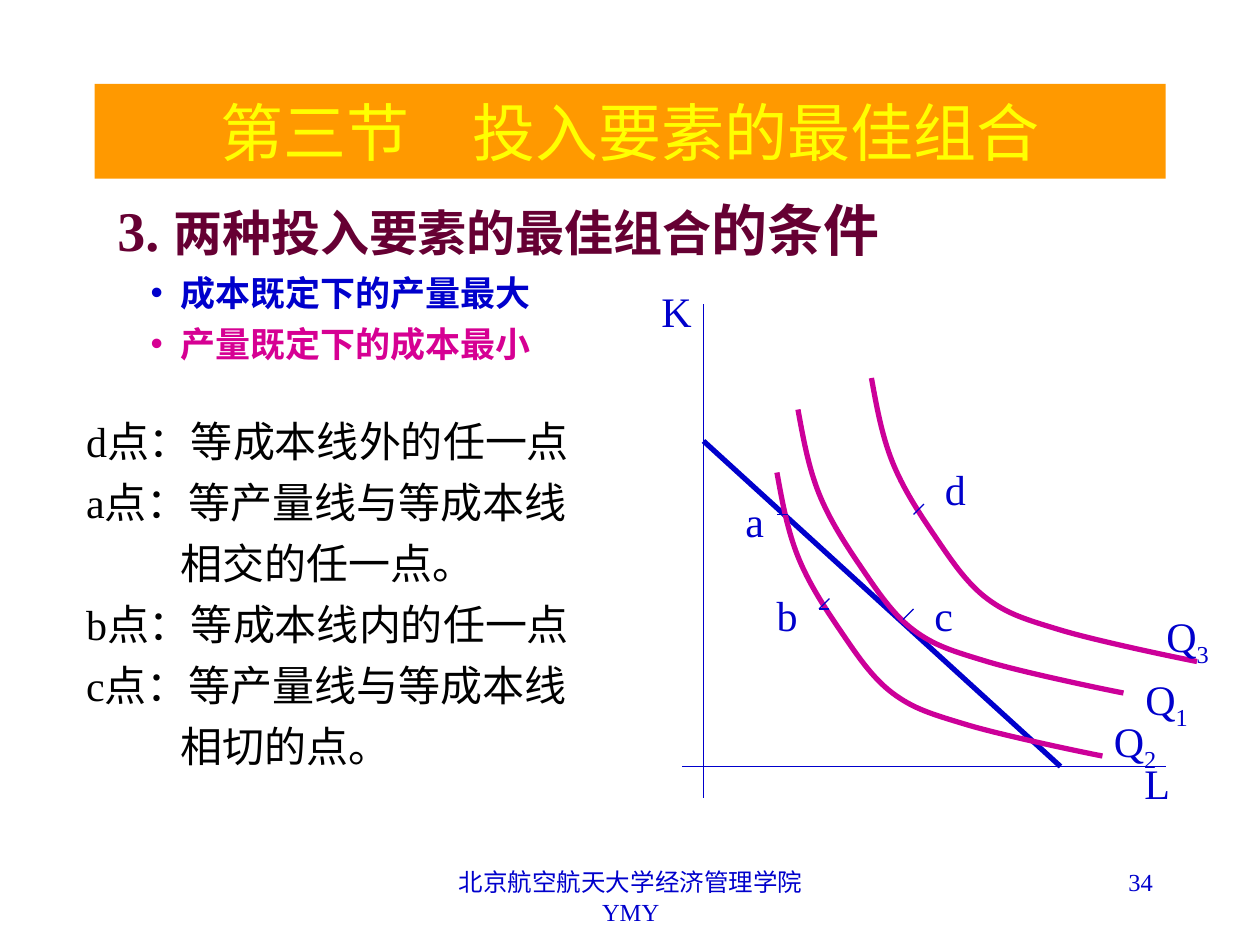
"""Build the slide on the optimal combination of two inputs."""
from lxml import etree
from pptx import Presentation
from pptx.dml.color import RGBColor
from pptx.enum.shapes import MSO_CONNECTOR
from pptx.enum.text import MSO_ANCHOR, MSO_AUTO_SIZE, PP_ALIGN
from pptx.oxml.ns import qn
from pptx.util import Cm, Pt

STRAIGHT = MSO_CONNECTOR.STRAIGHT
LEFT, CENTER, RIGHT = PP_ALIGN.LEFT, PP_ALIGN.CENTER, PP_ALIGN.RIGHT
TOP, MIDDLE = MSO_ANCHOR.TOP, MSO_ANCHOR.MIDDLE
NO_FIT = MSO_AUTO_SIZE.NONE

BLUE, PINK, MAGENTA = "0000CC", "D60093", "CC0099"
ORANGE, YELLOW, PLUM, BLACK = "FF9900", "FFFF00", "660033", "000000"

ISOQUANT = [
    (0.5, 2.75), (1, 5.5), (2, 8),
    (3, 10.5), (4.5, 12.8), (6, 15),
    (7.5, 17.2), (9, 19.5), (11, 21),
    (13, 22.5), (14.7, 23), (18, 24),
    (21.3, 25), (28.9, 26.6), (31, 27),
]
ISOQUANT_STARTS = [(76, 39), (74, 45), (83, 36)]
AXES = [(67, 29, 67, 76), (65, 73, 111, 73)]
BUDGET_LINE = (67, 42, 101, 73)
TICKS = [(87, 58, 86, 59), (75, 49, 74, 49), (79, 58, 78, 58),
         (79, 57, 78, 58), (88, 48, 87, 49)]
LABELS = [
    ("a", "", 69.8, 46.6, 4.2), ("b", "", 72.8, 55.6, 4.3),
    ("c", "", 87.8, 55.6, 4.2), ("d", "", 88.8, 43.6, 4.3),
    ("L", "", 107.8, 71.6, 4.8), ("K", "", 61.8, 26.6, 5.3),
    ("Q", "1", 107.9, 63.6, 6.5), ("Q", "2", 104.9, 67.6, 6.5),
    ("Q", "3", 109.9, 57.6, 6.5),
]
HEADING = [("3. ", 32), ("两种投入要素的最佳组合", 28), ("的条件", 32)]
GOALS = [("成本既定下的产量最大", BLUE), ("产量既定下的成本最小", PINK)]
POINT_NOTES = [
    ("d点：等成本线外的任一点", 0),
    ("a点：等产量线与等成本线", 0),
    ("相交的任一点。", 1.9),
    ("b点：等成本线内的任一点", 0),
    ("c点：等产量线与等成本线", 0),
    ("相切的点。", 1.9),
]


def color(value):
    """Turn a hex string into a colour."""
    return RGBColor.from_string(value)


def grid(steps):
    """Give the length of a number of diagram steps, twelve to 2.54 cm."""
    return Cm(2.54 * steps / 12)


def apply(target, formats):
    """Set each format value on the target."""
    for name, value in formats.items():
        setattr(target, name, value)


def add_run(paragraph, text, size, hue, bold=False):
    """Append a formatted run to a paragraph."""
    run = paragraph.add_run()
    run.text = text
    apply(run.font, {"name": "Times New Roman", "size": Pt(size), "bold": bold})
    run.font.color.rgb = color(hue)
    return run


def set_indent(paragraph, margin, hanging=0, bullet=None):
    """Set the margins of a paragraph and its bullet colour, if any."""
    properties = paragraph._p.get_or_add_pPr()
    properties.set("marL", str(Cm(margin)))
    properties.set("indent", str(-Cm(hanging)))
    if bullet is None:
        etree.SubElement(properties, qn("a:buNone"))
        return
    tint = etree.SubElement(properties, qn("a:buClr"))
    etree.SubElement(tint, qn("a:srgbClr")).set("val", bullet)
    etree.SubElement(properties, qn("a:buChar")).set("char", "•")


def place(holder, left, top, width, height, anchor=TOP):
    """Move a placeholder and return its text frame."""
    apply(holder, {"left": Cm(left), "top": Cm(top),
                   "width": Cm(width), "height": Cm(height)})
    apply(holder.text_frame, {"word_wrap": True, "auto_size": NO_FIT,
                              "vertical_anchor": anchor})
    return holder.text_frame


def fill_title(title):
    """Write the section title on its orange band."""
    frame = place(title, 1.91, 1.69, 21.59, 1.91, MIDDLE)
    title.fill.solid()
    title.fill.fore_color.rgb = color(ORANGE)
    frame.paragraphs[0].alignment = CENTER
    add_run(frame.paragraphs[0], "第三节　投入要素的最佳组合", 36, YELLOW)


def fill_goals(body):
    """Write the heading and the two optimisation goals."""
    frame = place(body, 2.11, 3.81, 17.36, 4.52)
    heading = frame.paragraphs[0]
    set_indent(heading, 0)
    heading.space_before = Pt(0)
    for text, size in HEADING:
        add_run(heading, text, size, PLUM, True)
    for text, hue in GOALS:
        goal = frame.add_paragraph()
        set_indent(goal, 1.27, 0.6, hue)
        goal.space_before = Pt(5)
        add_run(goal, text, 20, hue, True)


def fill_notes(body):
    """Explain the points marked in the diagram."""
    frame = place(body, 1.48, 8.25, 11.43, 8.47)
    for index, (text, margin) in enumerate(POINT_NOTES):
        note = frame.add_paragraph() if index else frame.paragraphs[0]
        set_indent(note, margin)
        note.space_before = Pt(6 if index else 0)
        add_run(note, text, 24, BLACK)


def add_footer(slide, text, left, width, alignment):
    """Add a wrapped footer text."""
    box = slide.shapes.add_textbox(Cm(left), Cm(17.36), Cm(width), Cm(1.27))
    box.text_frame.word_wrap = True
    paragraph = box.text_frame.paragraphs[0]
    paragraph.alignment = alignment
    add_run(paragraph, text, 14, BLUE)


def add_label(slide, letter, subscript, left, top, width):
    """Name a point, axis or curve of the diagram."""
    box = slide.shapes.add_textbox(grid(left), grid(top), grid(width), grid(6))
    box.text_frame.word_wrap = False
    paragraph = box.text_frame.paragraphs[0]
    paragraph.alignment = LEFT
    add_run(paragraph, letter, 24, BLUE)
    if subscript:
        index = add_run(paragraph, subscript, 24, BLUE)
        index.font._element.set("baseline", "-25000")


def add_line(slide, ends, weight=0.75):
    """Draw a straight blue line between two grid points."""
    line = slide.shapes.add_connector(STRAIGHT, *map(grid, ends))
    line.line.color.rgb = color(BLUE)
    line.line.width = Pt(weight)
    etree.SubElement(line._element.spPr, qn("a:effectLst"))


def smooth_outline(outline):
    """Turn each three straight segments into one cubic curve."""
    segments = list(outline._element.iter(qn("a:lnTo")))
    for first in range(0, len(segments), 3):
        curve = etree.SubElement(segments[first].getparent(),
                                 qn("a:cubicBezTo"))
        for segment in segments[first:first + 3]:
            curve.append(segment[0])
            segment.getparent().remove(segment)


def add_isoquant(slide, left, top):
    """Draw an isoquant curve from its upper left end."""
    builder = slide.shapes.build_freeform(grid(left), grid(top))
    builder.add_line_segments(
        [(grid(left + x), grid(top + y)) for x, y in ISOQUANT], close=False)
    isoquant = builder.convert_to_shape()
    smooth_outline(isoquant)
    isoquant.fill.background()
    isoquant.line.color.rgb = color(MAGENTA)
    isoquant.line.width = Pt(3)
    isoquant.shadow.inherit = False


def main():
    """Build and save the slide."""
    deck = Presentation()
    apply(deck, {"slide_width": Cm(25.4), "slide_height": Cm(19.05)})
    slide = deck.slides.add_slide(deck.slide_layouts[3])
    title, goals, notes = slide.placeholders
    fill_title(title)
    fill_goals(goals)
    fill_notes(notes)
    add_footer(slide, "北京航空航天大学经济管理学院 YMY", 8.69, 8.05, CENTER)
    add_footer(slide, "34", 18.21, 5.28, RIGHT)
    for ends in AXES:
        add_line(slide, ends)
    add_line(slide, BUDGET_LINE, 3)
    for start in ISOQUANT_STARTS:
        add_isoquant(slide, *start)
    for ends in TICKS:
        add_line(slide, ends)
    for label in LABELS:
        add_label(slide, *label)
    deck.save("out.pptx")


if __name__ == "__main__":
    main()
